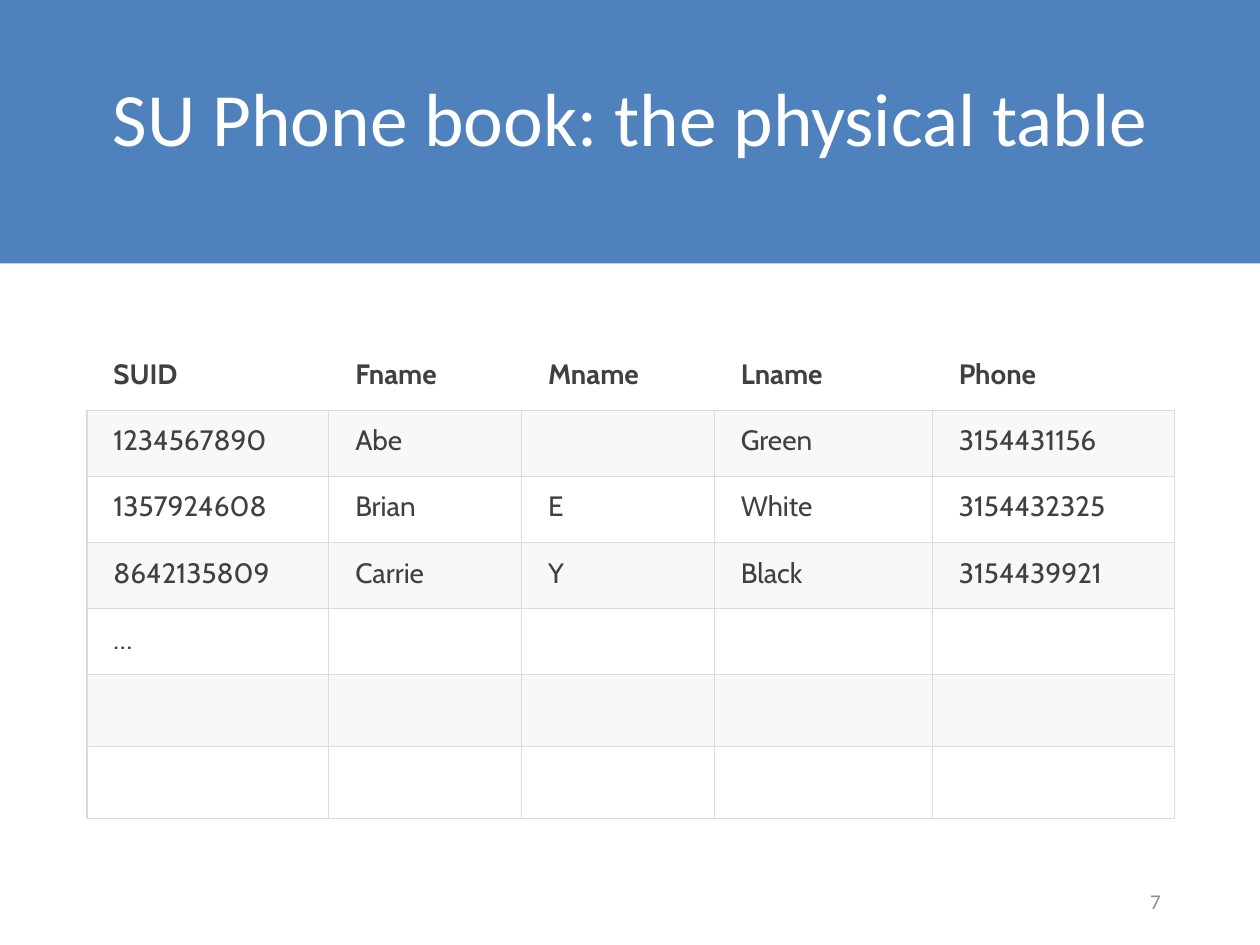
from lxml.etree import SubElement
from pptx import Presentation
from pptx.dml.color import RGBColor as RGB
from pptx.enum.shapes import MSO_SHAPE as SHAPE
from pptx.enum.text import MSO_ANCHOR as ANCHOR, MSO_AUTO_SIZE as AUTO, PP_ALIGN as ALIGN
from pptx.oxml.ns import qn
from pptx.util import Inches, Pt

TITLE = "SU Phone book: the physical table"
PAGE = "7"
ROWS = [
    ["SUID", "Fname", "Mname", "Lname", "Phone"],
    ["1234567890", "Abe", "", "Green", "3154431156"],
    ["1357924608", "Brian", "E", "White", "3154432325"],
    ["8642135809", "Carrie", "Y", "Black", "3154439921"],
    ["…", "", "", "", ""],
    [""] * 5,
    [""] * 5,
]
COLS = [1.92, 1.53, 1.53, 1.73, 1.92]
HEIGHTS = [0.525] * 5 + [0.57] * 2
COLORS = {"band": "4F81BD", "title": "FFFFFF", "text": "404040",
          "page": "8C8C8C", "grid": "D8DCDC", "stripe": "D8DEDC"}
W, H = 10, 7.5
LEFT, TOP = 0.69, 2.73


def write(tf, text, font, size, color, align=ALIGN.LEFT, bold=False):
    p = tf.paragraphs[0]
    p.alignment = align
    r = p.add_run()
    r.text = text
    r.font.name, r.font.size, r.font.bold = font, Pt(size), bold
    r.font.color.rgb = RGB.from_string(COLORS[color])
    return p


def add_borders(cell, sides):
    tcPr = cell._tc.get_or_add_tcPr()
    for side in sides:
        ln = SubElement(tcPr, qn(f"a:ln{side}"), w=str(Pt(0.75)))
        fill = SubElement(ln, qn("a:solidFill"))
        SubElement(fill, qn("a:srgbClr"), val=COLORS["grid"])


def fill_cell(cell, striped):
    if not striped:
        cell.fill.background()
        return
    cell.fill.solid()
    cell.fill.fore_color.rgb = RGB.from_string(COLORS["stripe"])
    clr = next(cell._tc.tcPr.find(qn("a:solidFill")).iter(qn("a:srgbClr")))
    SubElement(clr, qn("a:alpha"), val="20000")


def add_band(s):
    band = s.shapes.add_shape(SHAPE.RECTANGLE, 0, 0, Inches(W), Inches(2.09))
    band.shadow.inherit = False
    band.fill.solid()
    band.fill.fore_color.rgb = RGB.from_string(COLORS["band"])
    band.line.fill.background()
    s.shapes._spTree.insert(2, band._element)


def add_title(s):
    title = s.shapes.title
    title.left, title.top = Inches(LEFT), Inches(0.32)
    title.width, title.height = Inches(W - 2 * LEFT), Inches(1.02)
    tf = title.text_frame
    tf.auto_size, tf.vertical_anchor = AUTO.NONE, ANCHOR.BOTTOM
    write(tf, TITLE, "Calibri", 43, "title", ALIGN.CENTER).line_spacing = 0.9


def add_page_number(s):
    box = s.shapes.add_textbox(Inches(W - LEFT - 2.25), Inches(6.95), Inches(2.25), Inches(0.4))
    tf = box.text_frame
    tf.word_wrap, tf.vertical_anchor = True, ANCHOR.MIDDLE
    write(tf, PAGE, "Calibri", 12, "page", ALIGN.RIGHT).space_after = Pt(6)


def add_phone_table(s):
    table = s.shapes.add_table(len(ROWS), len(COLS), Inches(LEFT), Inches(TOP),
                               Inches(sum(COLS)), Inches(sum(HEIGHTS))).table
    table.first_row = table.horz_banding = False
    for col, width in zip(table.columns, COLS):
        col.width = Inches(width)
    for i, (row, height) in enumerate(zip(ROWS, HEIGHTS)):
        table.rows[i].height = Inches(height)
        for j, text in enumerate(row):
            cell = table.cell(i, j)
            add_borders(cell, "LRTB" if i else "B")
            fill_cell(cell, i % 2 == 1)
            if text:
                cell.margin_left = Inches(0.21)
                cell.margin_right = cell.margin_top = cell.margin_bottom = Inches(0.11)
                write(cell.text_frame, text, "Cabin", 16, "text", bold=i == 0)


def main():
    prs = Presentation()
    prs.slide_width, prs.slide_height = Inches(W), Inches(H)
    s = prs.slides.add_slide(prs.slide_layouts[5])
    add_band(s)
    add_title(s)
    add_page_number(s)
    add_phone_table(s)
    prs.save("out.pptx")


if __name__ == "__main__":
    main()
